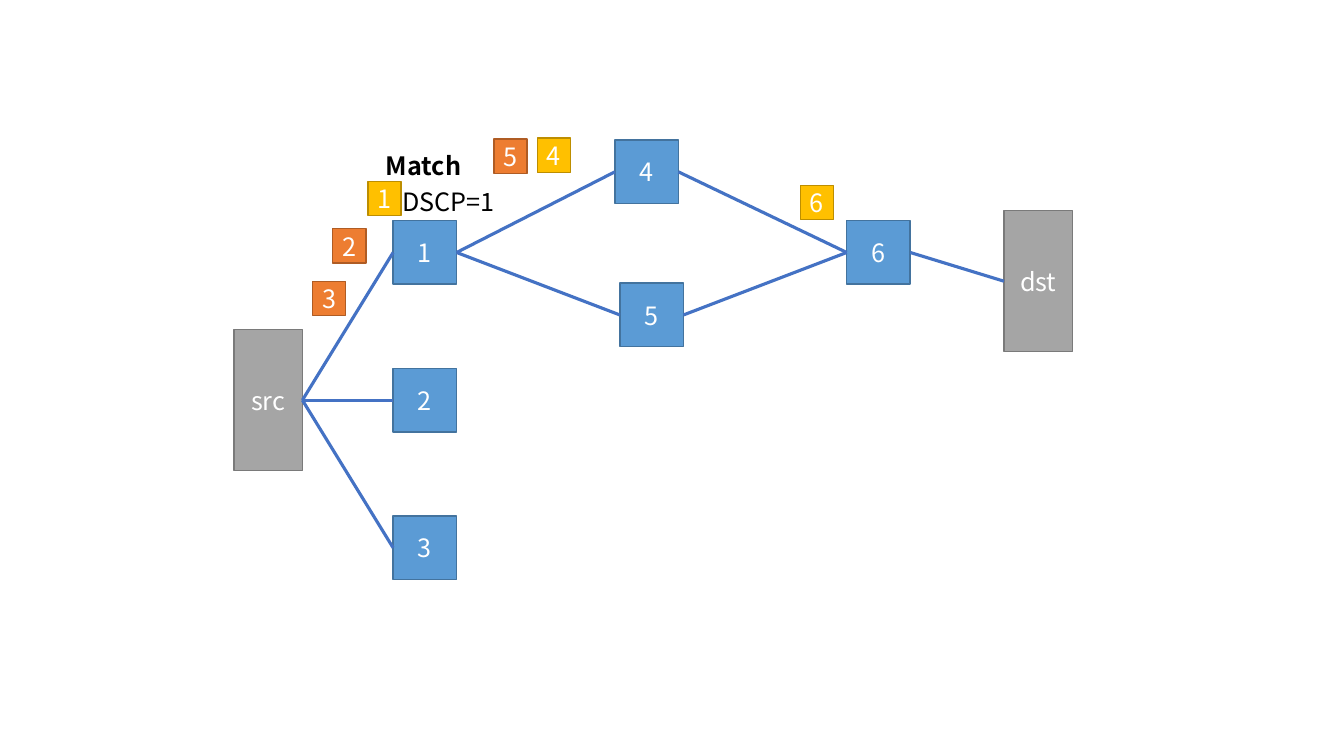
"""Draws a packet-routing diagram with a DSCP match rule."""
from dataclasses import dataclass

from lxml import etree
from pptx import Presentation
from pptx import util as u
from pptx.dml.color import RGBColor
from pptx.enum import shapes, text
from pptx.oxml.ns import qn

COLUMNS, ROWS = 133.33, 75
FONT = "Noto Sans CJK SC"
WHITE, BLACK, LINK_BLUE = "FFFFFF", "000000", "4472C4"
LEFT_SITE, RIGHT_SITE = 1, 3


@dataclass(frozen=True)
class Style:
    fill: str
    line: str
    width: float
    height: float


@dataclass(frozen=True)
class Item:
    name: str
    column: float
    row: float
    style: Style


@dataclass(frozen=True)
class Label:
    words: str
    column: float
    row: float
    width: float
    bold: bool


HOST = Style("A5A5A5", "7A7A7A", 6.8, 14)
SWITCH = Style("5B9BD5", "43739E", 6.3, 6.3)
MATCHED = Style("FFC000", "BD8E00", 3.3, 3.4)
OTHER = Style("ED7D31", "AF5C24", 3.3, 3.4)

NODES = [
    Item("src", 23.2, 32.7, HOST),
    Item("dst", 99.6, 20.9, HOST),
    *(Item(str(i + 1), 39, 21.9 + 14.65 * i, SWITCH) for i in range(3)),
    Item("4", 61, 13.9, SWITCH),
    Item("5", 61.5, 28.1, SWITCH),
    Item("6", 84, 21.9, SWITCH),
]
LINKS = [
    ("src", "1"), ("1", "4"), ("4", "6"), ("6", "dst"),
    ("1", "5"), ("5", "6"), ("src", "2"), ("src", "3"),
]
PACKETS = [
    Item("1", 36.5, 18, MATCHED),
    Item("2", 33, 22.7, OTHER),
    Item("3", 31, 27.9, OTHER),
    Item("4", 53.3, 13.7, MATCHED),
    Item("5", 49, 13.8, OTHER),
    Item("6", 79.4, 18.4, MATCHED),
]
LABELS = [
    Label("Match", 37.3, 14.4, 10.1, True),
    Label("DSCP=1", 38.9, 18, 12.5, False),
]


def cells(count: float) -> int:
    """Turn a count of grid cells into a length."""
    return u.Inches(count / 10)


def colour(code: str) -> RGBColor:
    """Turn a hex string into a colour."""
    return RGBColor.from_string(code)


def write(box, words: str, code: str, bold: bool = False) -> None:
    """Put one formatted line of text in a box."""
    box.text_frame.text = words
    span = box.text_frame.paragraphs[0].runs[0]
    span.font.name = FONT
    span.font.size = u.Pt(18)
    span.font.bold = bold
    span.font.color.rgb = colour(code)


def draw_item(page, item: Item):
    """Draw a host, switch or packet and return its shape."""
    style = item.style
    box = page.shapes.add_shape(
        shapes.MSO_SHAPE.RECTANGLE, cells(item.column), cells(item.row),
        cells(style.width), cells(style.height))
    box.shadow.inherit = False
    box.fill.solid()
    box.fill.fore_color.rgb = colour(style.fill)
    box.line.color.rgb = colour(style.line)
    box.line.width = u.Pt(1)
    write(box, item.name, WHITE)
    frame = box.text_frame
    frame.margin_left = frame.margin_right = 0
    frame.margin_top = frame.margin_bottom = 0
    frame.vertical_anchor = text.MSO_ANCHOR.MIDDLE
    frame.paragraphs[0].alignment = text.PP_ALIGN.CENTER
    return box


def draw_link(page, start, end) -> None:
    """Join the right side of one node to the left side of another."""
    link = page.shapes.add_connector(shapes.MSO_CONNECTOR.STRAIGHT, 0, 0, 0, 0)
    link.begin_connect(start, RIGHT_SITE)
    link.end_connect(end, LEFT_SITE)
    link.line.color.rgb = colour(LINK_BLUE)
    link.line.width = u.Pt(2.25)
    etree.SubElement(link._element.spPr, qn("a:effectLst"))


def draw_label(page, label: Label) -> None:
    """Draw one line of the match rule."""
    box = page.shapes.add_textbox(
        cells(label.column), cells(label.row), cells(label.width), cells(4))
    write(box, label.words, BLACK, label.bold)
    box.text_frame.word_wrap = True
    box.text_frame.auto_size = text.MSO_AUTO_SIZE.SHAPE_TO_FIT_TEXT


def main() -> None:
    """Build and save the deck."""
    deck = Presentation()
    deck.slide_width, deck.slide_height = cells(COLUMNS), cells(ROWS)
    page = deck.slides.add_slide(deck.slide_layouts[6])
    nodes = {node.name: draw_item(page, node) for node in NODES}
    for start, end in LINKS:
        draw_link(page, nodes[start], nodes[end])
    for packet in PACKETS:
        draw_item(page, packet)
    for label in LABELS:
        draw_label(page, label)
    deck.save("out.pptx")


if __name__ == "__main__":
    main()
